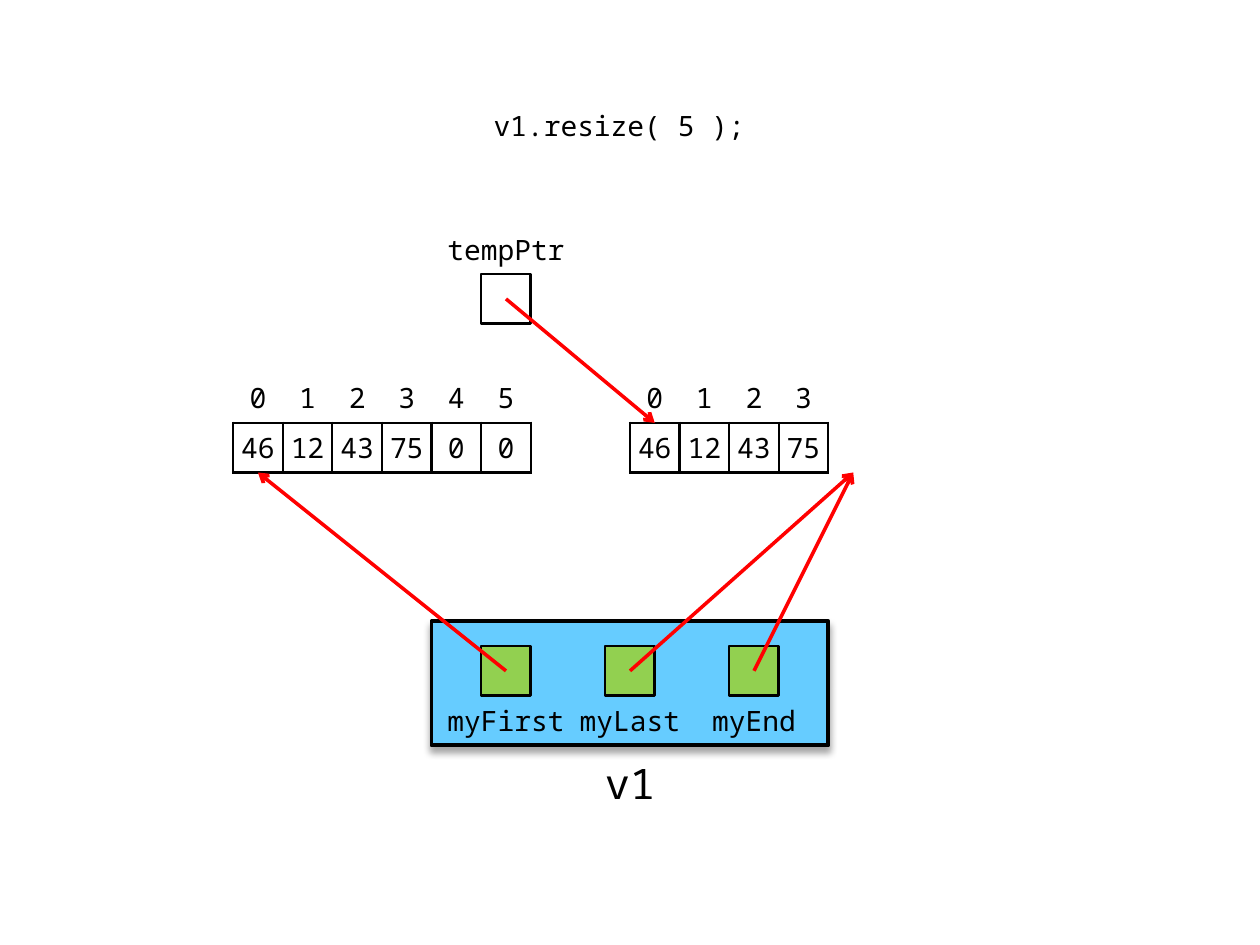
from lxml import etree
from pptx import Presentation
from pptx.dml.color import RGBColor
from pptx.enum import shapes, text
from pptx.oxml import parse_xml
from pptx.oxml.ns import nsdecls, qn
from pptx.util import Inches, Pt

COLORS = {
    "ink": "000000",
    "paper": "FFFFFF",
    "panel": "66CCFF",
    "member": "92D050",
    "pointer": "FF0000",
}
FONT = "Noto Sans Mono"
CELL = 1  # side of one array cell, in centimetres
NO_STYLE = "{2D5ABB26-0587-4C30-8999-92F81FD0307C}"


def color(name):
    return RGBColor.from_string(COLORS[name])


def size(centimetres):
    return Inches(centimetres / 2.54)


def place(x, y):
    """Turn centimetres from the slide's centre into a slide position."""
    return Inches(5) + size(x), Inches(3.75) + size(y)


def write(frame, words, points=16, align=text.PP_ALIGN.CENTER):
    frame.word_wrap = True
    frame.vertical_anchor = text.MSO_ANCHOR.MIDDLE
    paragraph = frame.paragraphs[0]
    paragraph.text = words
    paragraph.alignment = align
    paragraph.font.name = FONT
    paragraph.font.size = Pt(points)
    paragraph.font.color.rgb = color("ink")


def add_text(slide, x, y, width, height, words, **style):
    box = slide.shapes.add_textbox(*place(x, y), size(width), size(height))
    write(box.text_frame, words, **style)


def add_box(slide, kind, x, y, width, height, fill=None, line=1.5):
    shape = slide.shapes.add_shape(kind, *place(x, y), size(width), size(height))
    shape.shadow.inherit = False
    if fill:
        shape.fill.solid()
        shape.fill.fore_color.rgb = color(fill)
        shape.line.color.rgb = color("ink")
        shape.line.width = Pt(line)
    else:
        shape.fill.background()
        shape.line.fill.background()
    return shape


def add_label(slide, center, y, words):
    label = add_box(slide, shapes.MSO_SHAPE.FLOWCHART_PROCESS, center - 1.5, y, 3, 1)
    write(label.text_frame, words)


def add_pointer_box(slide, center, y, fill):
    add_box(slide, shapes.MSO_SHAPE.RECTANGLE, center - CELL / 2, y, CELL, CELL, fill)


def add_panel(slide):
    panel = add_box(slide, shapes.MSO_SHAPE.FLOWCHART_PROCESS, -4, 3, 8, 2.5, "panel", 2.25)
    effects = panel._element.spPr.find(qn("a:effectLst"))
    effects.append(parse_xml(
        f'<a:outerShdw {nsdecls("a")} blurRad="{Pt(4)}" dist="{Pt(3)}" dir="5400000" '
        f'rotWithShape="0"><a:srgbClr val="{COLORS["ink"]}"><a:alpha val="35000"/>'
        '</a:srgbClr></a:outerShdw>'))


def add_arrow(slide, start, end):
    arrow = slide.shapes.add_connector(
        shapes.MSO_CONNECTOR.STRAIGHT, *place(*start), *place(*end))
    arrow.line.color.rgb = color("pointer")
    arrow.line.width = Pt(2)
    etree.SubElement(arrow.line._get_or_add_ln(), qn("a:tailEnd"), type="arrow")
    etree.SubElement(arrow._element.spPr, qn("a:effectLst"))


def add_borders(cell, sides):
    for side in sides:
        cell._tc.get_or_add_tcPr().append(parse_xml(
            f'<a:ln{side} {nsdecls("a")} w="{Pt(1.5)}"><a:solidFill>'
            f'<a:srgbClr val="{COLORS["ink"]}"/></a:solidFill></a:ln{side}>'))


def add_array(slide, x, y, values):
    """Draw values in bordered cells under a row of their indexes."""
    count = len(values)
    table = slide.shapes.add_table(
        2, count, *place(x, y), size(count * CELL), size(2 * CELL)).table
    table.first_row = table.horz_banding = False
    table._tbl.tblPr.find(qn("a:tableStyleId")).text = NO_STYLE
    for index, value in enumerate(values):
        for row, (content, sides) in enumerate([(index, "B"), (value, "LRTB")]):
            cell = table.cell(row, index)
            cell.margin_left = cell.margin_right = Inches(0.06)
            cell.margin_top = cell.margin_bottom = Inches(0.04)
            write(cell.text_frame, str(content))
            cell.vertical_anchor = text.MSO_ANCHOR.MIDDLE
            add_borders(cell, sides)
            cell.fill.background()


def main():
    presentation = Presentation()
    presentation.slide_width, presentation.slide_height = Inches(10), Inches(7.5)
    slide = presentation.slides.add_slide(presentation.slide_layouts[6])

    add_text(slide, -3, -7.5, 6, 1, "v1.resize( 5 );", align=text.PP_ALIGN.LEFT)
    add_array(slide, 0, -2, [46, 12, 43, 75])
    add_array(slide, -8, -2, [46, 12, 43, 75, 0, 0])

    add_text(slide, -1, 5.5, 2, 1.5, "v1", points=24)
    add_panel(slide)
    members = [
        ("myFirst", -2.5, -7.5),
        ("myLast", 0, 4.5),
        ("myEnd", 2.5, 4.5),
    ]
    for name, center, _ in members:
        add_label(slide, center, 5 - CELL / 2, name)
        add_pointer_box(slide, center, 3.5, "member")
    for _, center, target in members:
        add_arrow(slide, (center, 4), (target, 0))

    add_label(slide, -2.5, -5, "tempPtr")
    add_pointer_box(slide, -2.5, -4, "paper")
    add_arrow(slide, (-2.5, -3.5), (0.5, -1))

    presentation.save("out.pptx")


if __name__ == "__main__":
    main()
